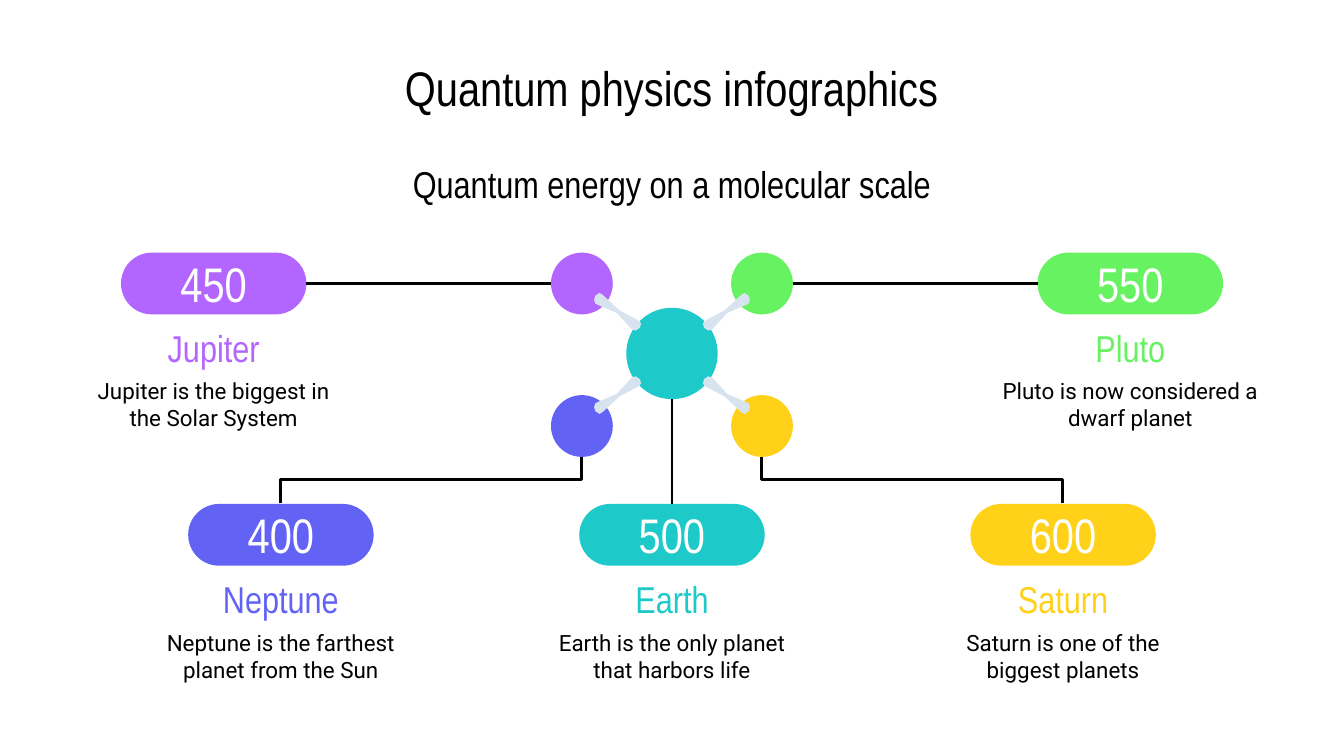
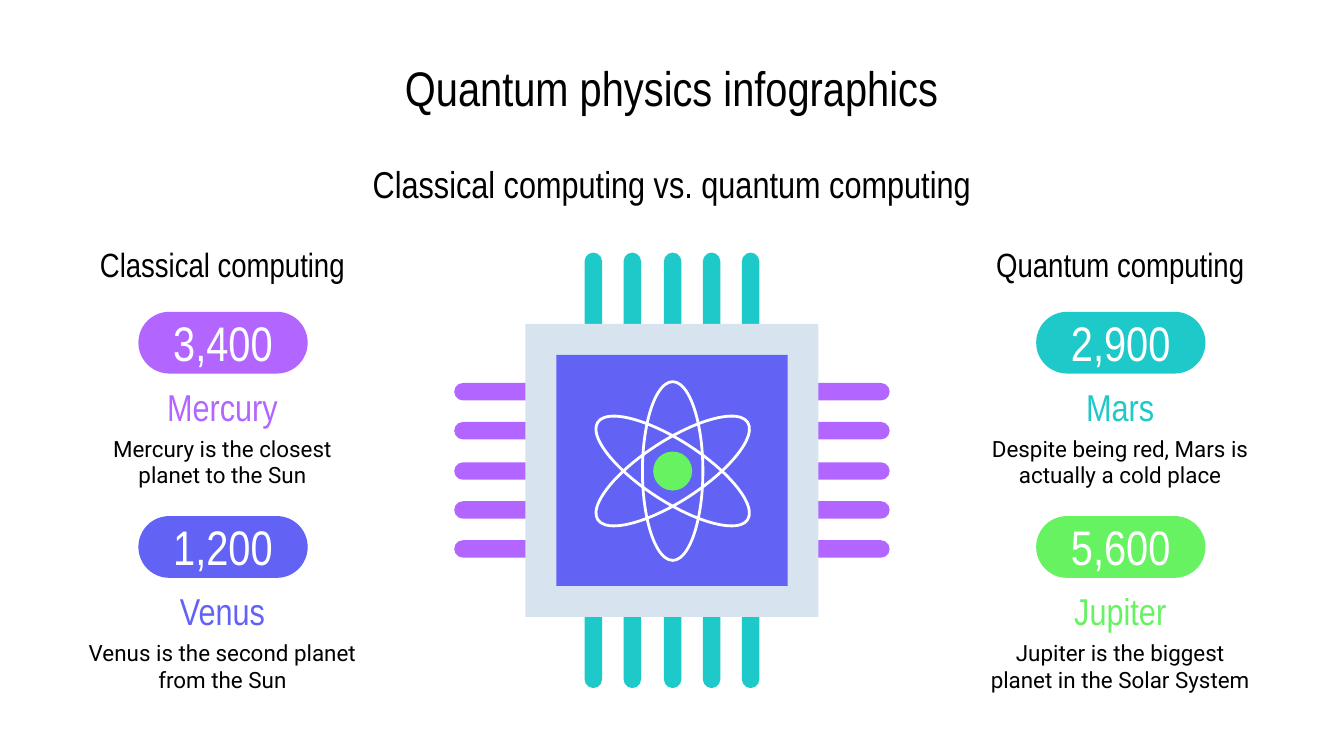
from lxml.etree import SubElement
from pptx import Presentation
from pptx.dml.color import RGBColor
from pptx.enum.shapes import MSO_CONNECTOR, MSO_SHAPE
from pptx.enum.text import MSO_ANCHOR, PP_ALIGN
from pptx.oxml.ns import qn
from pptx.util import Pt

PX = 9144
BLACK, WHITE, PALE = "000000", "FFFFFF", "D7E4F0"
PURPLE, INDIGO, TEAL = "B366FF", "6262F5", "1EC9C9"
GREEN, YELLOW = "66F261", "FFD119"
HEAD, BODY = "Arial Narrow", "Roboto"
ROD = [(-54, -45), (-57, -43), (-58, -40), (-57, -37), (-41, -30), (-30, -18),
       (-27, -17), (-24, -19), (-23, -22), (-24, -24), (-39, -32), (-52, -44)]


def hue(code):
    """Turn a hex string into a colour."""
    return RGBColor.from_string(code)


def emu(*sizes):
    """Turn px into EMU."""
    return [size * PX for size in sizes]


def write(shape, text, size, color, font=HEAD, base=10):
    """Put one centred run in a shape."""
    frame = shape.text_frame
    frame.word_wrap = True
    frame.vertical_anchor = MSO_ANCHOR.MIDDLE
    frame.margin_left = frame.margin_right = frame.margin_top = 10 * PX
    frame.margin_bottom = base * PX
    para = frame.paragraphs[0]
    para.alignment = PP_ALIGN.CENTER
    run = para.add_run()
    run.text = text
    run.font.size = Pt(size)
    run.font.name = font
    run.font.color.rgb = hue(color)


def label(slide, box, text, size, color=BLACK, font=HEAD):
    """Add a text box."""
    write(slide.shapes.add_textbox(*emu(*box)), text, size, color, font)


def paint(shape, color):
    """Give a shape a flat fill with no line."""
    shape.shadow.inherit = False
    shape.fill.solid()
    shape.fill.fore_color.rgb = hue(color)
    shape.line.fill.background()


def block(slide, kind, box, color):
    """Add a flat preset shape."""
    shape = slide.shapes.add_shape(kind, *emu(*box))
    paint(shape, color)
    if kind == MSO_SHAPE.ROUNDED_RECTANGLE:
        shape.adjustments[0] = 0.5
    return shape


def link(slide, kind, start, end):
    """Add a black connector."""
    line = slide.shapes.add_connector(kind, *emu(*start, *end))
    line.line.color.rgb = hue(BLACK)
    line.line.width = Pt(1.5)
    SubElement(line._element.spPr, qn("a:effectLst"))
    return line


def bend(slide, pill, start, end):
    """Join a pill's top to a point above it by an upright elbow."""
    line = link(slide, MSO_CONNECTOR.ELBOW, start, end)
    line.begin_connect(pill, 0)
    wide, tall = abs(end[0] - start[0]), start[1] - end[1]
    left = (start[0] + end[0] - tall) // 2
    top = (start[1] + end[1] - wide) // 2
    line.left, line.top, line.width, line.height = emu(left, top, tall, wide)
    form = line._element.spPr.find(qn("a:xfrm"))
    right = start[0] > end[0]
    form.set("rot", str((90 if right else 270) * 60000))
    form.set("flipH", "1" if right else "0")
    form.set("flipV", "0")


def card(slide, box, fact, wide, drop, tall):
    """Add a value pill with a name and a note below; return the pill."""
    x, y, w = box
    value, name, note, color = fact
    label(slide, (x, y + 52, w, 37), name, 20, color)
    label(slide, (x, y + drop, w, tall), note, 12, font=BODY)
    pill = block(slide, MSO_SHAPE.ROUNDED_RECTANGLE,
                 (x + (w - wide + 1) // 2, y, wide, 46), color)
    write(pill, value, 26, WHITE, base=11)
    return pill


def begin(deck, lead):
    """Start a slide with the shared title and its own subtitle."""
    slide = deck.slides.add_slide(deck.slide_layouts[6])
    label(slide, (220, 33, 560, 63), "Quantum physics infographics", 26)
    label(slide, (220, 118, 560, 37), lead, 20)
    return slide


def model(slide, x, y):
    """Draw the molecule from its top left corner."""
    atoms = [(134, 106, 46, YELLOW), (0, 106, 46, INDIGO), (56, 41, 68, TEAL),
             (134, 0, 46, GREEN), (0, 0, 46, PURPLE)]
    for dx, dy, size, color in atoms:
        block(slide, MSO_SHAPE.OVAL, (x + dx, y + dy, size, size), color)
    for across in (1, -1):
        for down in (1, -1):
            dots = [(x + 90 + across * dx, y + 75 + down * dy)
                    for dx, dy in ROD]
            path = slide.shapes.build_freeform(*dots[0], scale=PX)
            path.add_line_segments(dots[1:], close=True)
            paint(path.convert_to_shape(), PALE)


def scale(deck):
    """Build the molecular scale slide."""
    slide = begin(deck, "Quantum energy on a molecular scale")
    facts = [
        (53, 188, ("450", "Jupiter",
                   "Jupiter is the biggest in the Solar System", PURPLE)),
        (735, 188, ("550", "Pluto",
                    "Pluto is now considered a dwarf planet", GREEN)),
        (103, 375, ("400", "Neptune",
                    "Neptune is the farthest planet from the Sun", INDIGO)),
        (394, 375, ("500", "Earth",
                    "Earth is the only planet that harbors life", TEAL)),
        (685, 375, ("600", "Saturn",
                    "Saturn is one of the biggest planets", YELLOW)),
    ]
    pills = [card(slide, (x, y, 212), fact, 138, 85, 56)
             for x, y, fact in facts]
    spokes = [(0, (410, 211), (228, 211), 3), (1, (590, 211), (772, 211), 1),
              (3, (500, 297), (500, 375), 0)]
    for spot, start, end, side in spokes:
        line = link(slide, MSO_CONNECTOR.STRAIGHT, start, end)
        line.end_connect(pills[spot], side)
    bend(slide, pills[2], (209, 375), (433, 340))
    bend(slide, pills[4], (791, 375), (567, 340))
    model(slide, 410, 188)


def chip(slide, x, y, size):
    """Draw the chip centred in a square box."""
    def mid(w, h):
        """Centre a size in the box."""
        return x + (size - w + 1) // 2, y + (size - h + 1) // 2, w, h

    pin = MSO_SHAPE.ROUNDED_RECTANGLE
    steps = [round(97 + 29.3 * i) for i in range(5)]
    for step in steps:
        block(slide, pin, (x + step, y, 13, size), TEAL)
    for step in steps:
        block(slide, pin, (x, y + step, size, 13), PURPLE)
    block(slide, MSO_SHAPE.RECTANGLE, mid(218, 218), PALE)
    block(slide, MSO_SHAPE.RECTANGLE, mid(172, 172), INDIGO)
    for turn in (0, -57, 57):
        orbit = block(slide, MSO_SHAPE.OVAL, mid(45, 133), WHITE)
        orbit.fill.background()
        orbit.line.color.rgb = hue(WHITE)
        orbit.line.width = Pt(1.5)
        orbit.rotation = turn
    block(slide, MSO_SHAPE.OVAL, mid(29, 29), GREEN)


def versus(deck):
    """Build the computing comparison slide."""
    slide = begin(deck, "Classical computing vs. quantum computing")
    chip(slide, 338, 188, 324)
    sides = [
        (53, "Classical computing", [
            ("3,400", "Mercury", "Mercury is the closest planet to the Sun",
             PURPLE),
            ("1,200", "Venus", "Venus is the second planet from the Sun",
             INDIGO)]),
        (721, "Quantum computing", [
            ("2,900", "Mars",
             "Despite being red, Mars is actually a cold place", TEAL),
            ("5,600", "Jupiter",
             "Jupiter is the biggest planet in the Solar System", GREEN)]),
    ]
    for x, head, facts in sides:
        label(slide, (x, 178, 225, 37), head, 18)
        for row, fact in enumerate(facts):
            card(slide, (x, 232 + 152 * row, 225), fact, 126, 90, 43)


def main():
    """Build and save the deck."""
    deck = Presentation()
    deck.slide_width = 1000 * PX
    deck.slide_height = deck.slide_width * 9 // 16
    scale(deck)
    versus(deck)
    deck.save("out.pptx")


if __name__ == "__main__":
    main()
